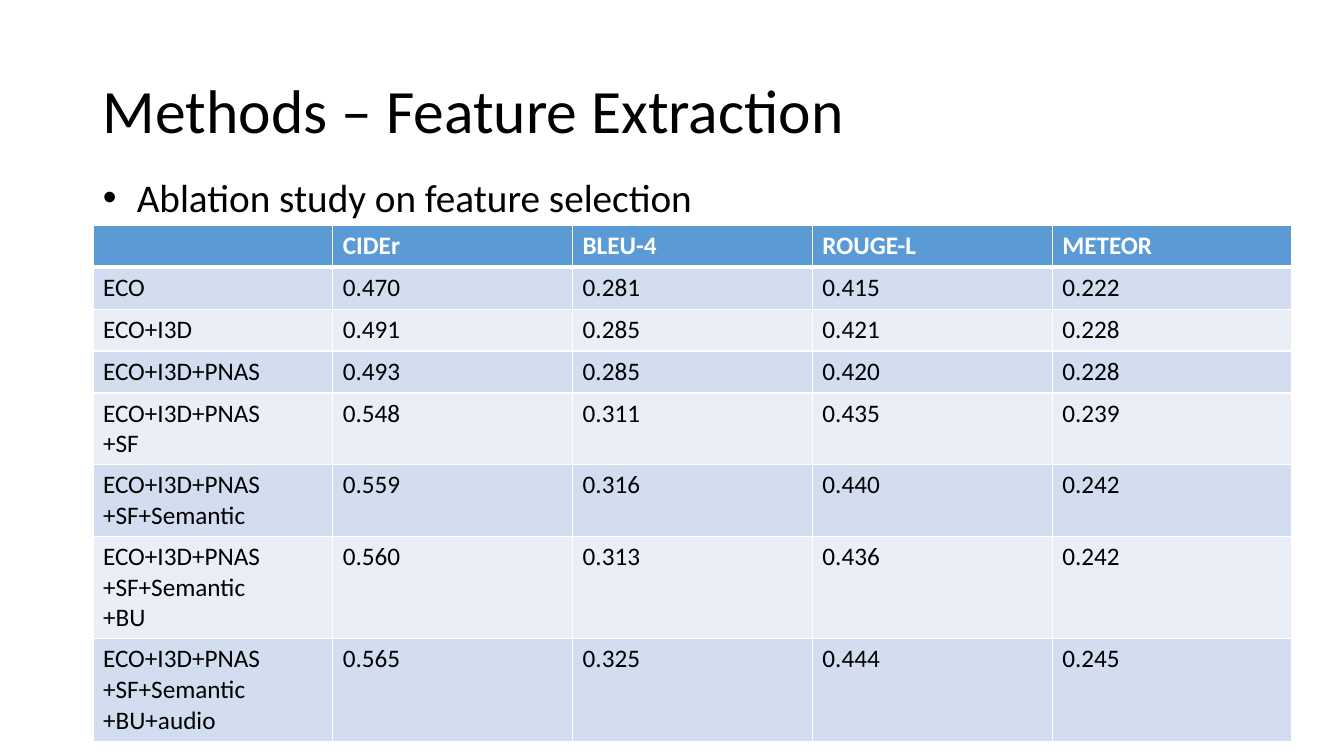
from dataclasses import dataclass

from lxml import etree
from pptx import Presentation
from pptx.dml.color import RGBColor
from pptx.enum import text as t
from pptx.oxml import ns
from pptx.util import Pt


@dataclass(frozen=True)
class Theme:
    font: str = "Calibri"
    black: str = "000000"
    white: str = "FFFFFF"
    head: str = "5B9BD5"
    bands: tuple = ("D2DEEF", "EAEFF7")
    title: int = 44
    body: int = 28
    cell: int = 18


THEME = Theme()
LEFT = 66.4

HEADS = ["", "CIDEr", "BLEU-4", "ROUGE-L", "METEOR"]
ROWS = [
    ["ECO", "0.470", "0.281", "0.415", "0.222"],
    ["ECO+I3D", "0.491", "0.285", "0.421", "0.228"],
    ["ECO+I3D+PNAS", "0.493", "0.285", "0.420", "0.228"],
    ["ECO+I3D+PNAS\n+SF", "0.548", "0.311", "0.435", "0.239"],
    ["ECO+I3D+PNAS\n+SF+Semantic", "0.559", "0.316", "0.440", "0.242"],
    ["ECO+I3D+PNAS\n+SF+Semantic\n+BU", "0.560", "0.313", "0.436", "0.242"],
    ["ECO+I3D+PNAS\n+SF+Semantic\n+BU+audio", "0.565", "0.325", "0.444", "0.245"],
]
HEIGHTS = {1: 30, 2: 51, 3: 73}  # row height by count of lines


def add_node(parent, tag, **attrs):
    node = etree.SubElement(parent, ns.qn(tag))
    for key, value in attrs.items():
        node.set(key, str(value))
    return node


def write(frame, words, size=THEME.cell, color=THEME.black, bold=False,
          spacing=None, bullet=None, indent=0):
    """Fill a text frame, one paragraph per line of words."""
    for i, line in enumerate(words.split("\n")):
        para = frame.add_paragraph() if i else frame.paragraphs[0]
        para.line_spacing = spacing
        if bullet:
            props = para._p.get_or_add_pPr()
            props.set("marL", str(Pt(indent)))
            props.set("indent", str(-Pt(indent)))
            add_node(props, "a:buFont", typeface="Arial")
            add_node(props, "a:buChar", char=bullet)
        font = para.font
        if line:
            run = para.add_run()
            run.text = line
            font = run.font
        font.name, font.size, font.bold = THEME.font, Pt(size), bold
        font.color.rgb = RGBColor.from_string(color)


def add_text(slide, box, words, anchor=t.MSO_ANCHOR.TOP, **style):
    frame = slide.shapes.add_textbox(*map(Pt, box)).text_frame
    frame.word_wrap = True
    frame.auto_size = t.MSO_AUTO_SIZE.NONE
    frame.vertical_anchor = anchor
    write(frame, words, **style)


def style_cell(cell, fill, under=1):
    """Give a cell white borders and a solid fill."""
    props = cell._tc.get_or_add_tcPr()
    for side in "LRTB":
        width = under if side == "B" else 1
        line = add_node(props, f"a:ln{side}", w=Pt(width))
        add_node(add_node(line, "a:solidFill"), "a:srgbClr", val=THEME.white)
    cell.fill.solid()
    cell.fill.fore_color.rgb = RGBColor.from_string(fill)


def add_grid(slide, left, top, width, heads, rows):
    sizes = [HEIGHTS[row[0].count("\n") + 1] for row in [heads] + rows]
    grid = slide.shapes.add_table(
        len(sizes), len(heads), Pt(left), Pt(top), Pt(width), Pt(sum(sizes))
    ).table
    for col in grid.columns:
        col.width = Pt(width / len(heads))
    for r, row in enumerate([heads] + rows):
        grid.rows[r].height = Pt(sizes[r])
        for c, words in enumerate(row):
            cell = grid.cell(r, c)
            if r == 0:
                style_cell(cell, THEME.head, under=3)
                write(cell.text_frame, words, color=THEME.white, bold=True)
            else:
                style_cell(cell, THEME.bands[(r - 1) % 2])
                write(cell.text_frame, words)


def main():
    deck = Presentation()
    deck.slide_width, deck.slide_height = Pt(960), Pt(540)
    slide = deck.slides.add_slide(deck.slide_layouts[6])

    # Title and lead point
    add_text(slide, (LEFT, 28.8, 828, 104.4), "Methods – Feature Extraction",
             anchor=t.MSO_ANCHOR.MIDDLE, size=THEME.title, spacing=0.9)
    add_text(slide, (LEFT, 123.8, 845, 395), "Ablation study on feature selection",
             size=THEME.body, spacing=0.9, bullet="•", indent=24.3)

    # Scores by feature set
    add_grid(slide, LEFT, 160.8, 856.5, HEADS, ROWS)

    deck.save("out.pptx")


if __name__ == "__main__":
    main()
